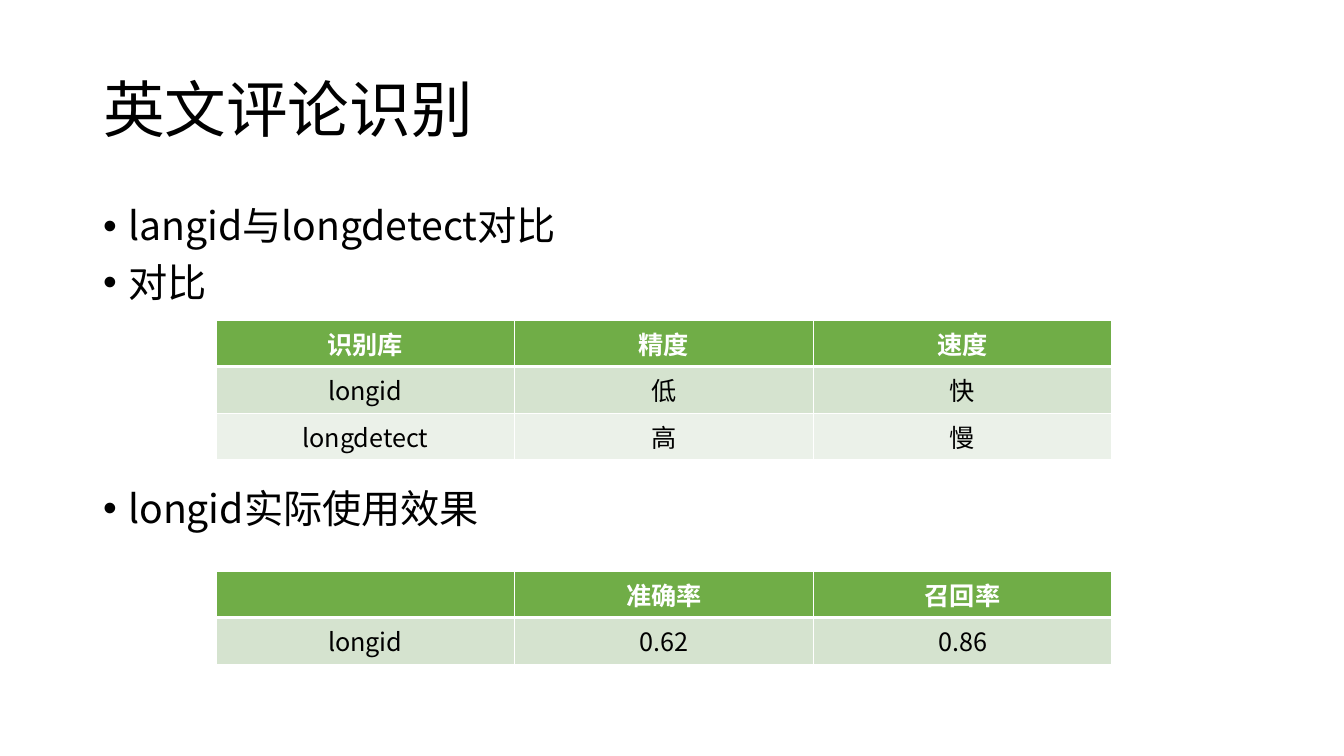
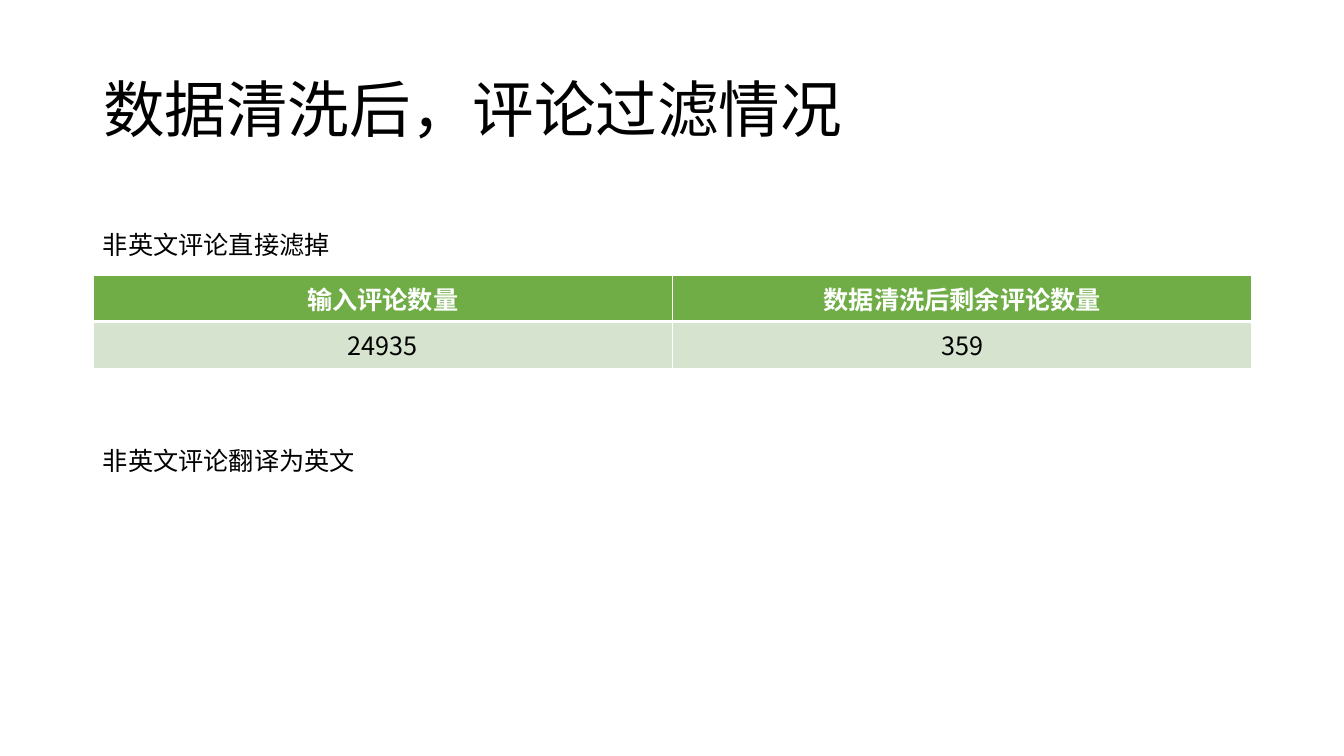
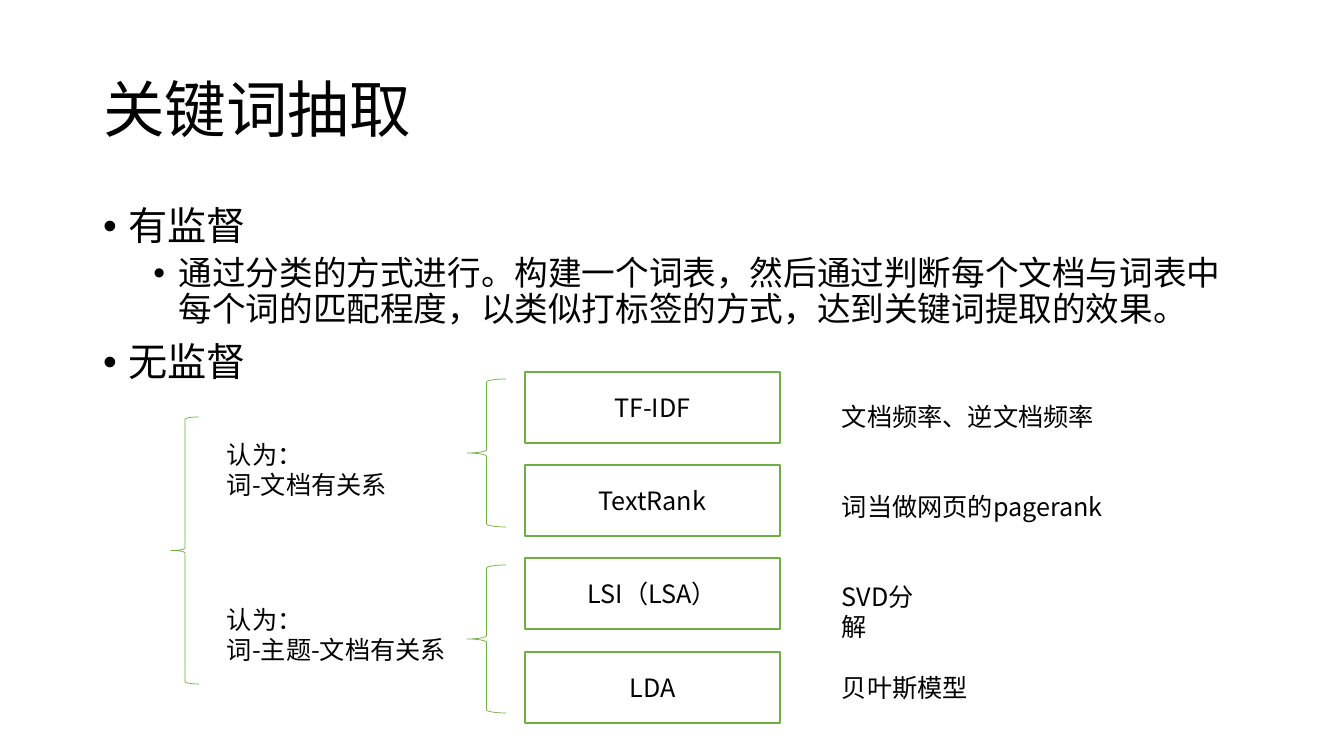
from dataclasses import dataclass

from lxml import etree
from pptx import Presentation
from pptx.dml.color import RGBColor
from pptx.enum.shapes import MSO_SHAPE
from pptx.enum.text import MSO_ANCHOR, MSO_AUTO_SIZE, PP_ALIGN
from pptx.oxml.ns import qn
from pptx.util import Pt

LEFT, CENTER = PP_ALIGN.LEFT, PP_ALIGN.CENTER
TOP, MIDDLE = MSO_ANCHOR.TOP, MSO_ANCHOR.MIDDLE
NO_AUTOFIT = MSO_AUTO_SIZE.NONE
RECTANGLE, LEFT_BRACE = MSO_SHAPE.RECTANGLE, MSO_SHAPE.LEFT_BRACE
TITLE_AND_CONTENT, TITLE_ONLY = 1, 5

SLIDE_W, SLIDE_H = 1344, 756
EMU_PER_PX = 12192000 / SLIDE_W


@dataclass(frozen=True)
class Theme:
    font: str = "Noto Sans CJK SC"
    text: str = "000000"
    white: str = "FFFFFF"
    green: str = "70AD47"
    bands: tuple = ("D5E3CF", "EBF1E9")
    title_size: int = 44
    body_sizes: tuple = (28, 24)
    small_size: int = 18
    body_gaps: tuple = (10, 5)
    line_spacing: float = 0.9


THEME = Theme()
TITLE_BOX = (93, 40, 1159, 146)
BODY_BOX = (93, 202, 1159, 529)


def px(length):
    return round(length * EMU_PER_PX)


def rgb(color):
    return RGBColor.from_string(color)


# Shared text and shape formatting
def format_runs(paragraph, size, color=THEME.text, bold=False):
    for run in paragraph.runs:
        run.font.name = THEME.font
        run.font.size = Pt(size)
        run.font.bold = bold
        run.font.color.rgb = rgb(color)
        east_asian = etree.SubElement(run.font._element, qn("a:ea"))
        east_asian.set("typeface", THEME.font)


def place(shape, box):
    shape.left, shape.top, shape.width, shape.height = map(px, box)


def add_title(slide, text):
    title = slide.shapes.title
    place(title, TITLE_BOX)
    frame = title.text_frame
    frame.text = text
    frame.auto_size = NO_AUTOFIT
    frame.vertical_anchor = MIDDLE
    heading = frame.paragraphs[0]
    heading.alignment = LEFT
    heading.line_spacing = THEME.line_spacing
    format_runs(heading, THEME.title_size)


def add_bullets(slide, box, items):
    """Each item is (level, text, space before in points or None)."""
    body = slide.placeholders[1]
    place(body, box)
    frame = body.text_frame
    frame.text = "\n".join(text for _, text, _ in items)
    frame.auto_size = NO_AUTOFIT
    frame.vertical_anchor = TOP
    for paragraph, (level, _, gap) in zip(frame.paragraphs, items):
        paragraph.level = level
        paragraph.line_spacing = THEME.line_spacing
        paragraph.space_before = Pt(gap or THEME.body_gaps[level])
        format_runs(paragraph, THEME.body_sizes[level])
        properties = paragraph._p.get_or_add_pPr()
        properties.set("marL", str(Pt(18 + 36 * level)))
        properties.set("indent", str(-Pt(18)))
        etree.SubElement(properties, qn("a:buChar")).set("char", "•")


def add_note(slide, box, text):
    note = slide.shapes.add_textbox(*map(px, box))
    note.text_frame.word_wrap = True
    note.text_frame.text = text
    for paragraph in note.text_frame.paragraphs:
        format_runs(paragraph, THEME.small_size)


def add_outline(slide, kind, box, line_width):
    outline = slide.shapes.add_shape(kind, *map(px, box))
    outline.shadow.inherit = False
    outline.line.color.rgb = rgb(THEME.green)
    outline.line.width = Pt(line_width)
    return outline


def add_brace(slide, box):
    add_outline(slide, LEFT_BRACE, box, 0.5).fill.background()


def add_method(slide, box, name):
    method = add_outline(slide, RECTANGLE, box, 1)
    method.fill.solid()
    method.fill.fore_color.rgb = rgb(THEME.white)
    method.text_frame.text = name
    method.text_frame.vertical_anchor = MIDDLE
    label = method.text_frame.paragraphs[0]
    label.alignment = CENTER
    format_runs(label, THEME.small_size)


# Tables
def set_borders(cell, **widths):
    properties = cell._tc.get_or_add_tcPr()
    for index, side in enumerate(("L", "R", "T", "B")):
        line = etree.Element(qn("a:ln" + side), w=str(Pt(widths.get(side, 1))))
        fill = etree.SubElement(line, qn("a:solidFill"))
        etree.SubElement(fill, qn("a:srgbClr")).set("val", THEME.white)
        properties.insert(index, line)


def add_data_table(slide, left, top, width, rows, anchor=TOP):
    row_height = 41
    box = (left, top, width, row_height * len(rows))
    table = slide.shapes.add_table(len(rows), len(rows[0]), *map(px, box)).table
    for column in table.columns:
        column.width = px(width / len(rows[0]))
    for r, values in enumerate(rows):
        header = r == 0
        table.rows[r].height = px(row_height)
        for c, value in enumerate(values):
            cell = table.cell(r, c)
            cell.text = value
            cell.vertical_anchor = anchor
            cell.fill.solid()
            band = THEME.green if header else THEME.bands[(r - 1) % 2]
            cell.fill.fore_color.rgb = rgb(band)
            set_borders(cell, T=3 if r == 1 else 1, B=3 if header else 1)
            paragraph = cell.text_frame.paragraphs[0]
            paragraph.alignment = CENTER
            color = THEME.white if header else THEME.text
            format_runs(paragraph, THEME.small_size, color, bold=header)


# Keyword extraction diagram
def add_method_tree(slide, left, top):
    add_brace(slide, (left, top + 45, 28, 267))
    beliefs = (
        (62, 185, "认为：\n词-文档有关系"),
        (227, 249, "认为：\n词-主题-文档有关系"),
    )
    for y, width, belief in beliefs:
        add_note(slide, (left + 46, top + y, width, 72), belief)

    methods = (
        ("TF-IDF", 275, "文档频率、逆文档频率"),
        ("TextRank", 282, "词当做网页的pagerank"),
        ("LSI（LSA）", 117, "SVD分解"),
        ("LDA", 148, "贝叶斯模型"),
    )
    for i, (name, width, remark) in enumerate(methods):
        method_top = top + 280 * i // 3
        if i % 2 == 0:
            add_brace(slide, (left + 296, method_top + 7, 39, 148))
        add_method(slide, (left + 354, method_top, 255, 71), name)
        add_note(slide, (left + 661, top + 24 + 271 * i // 3, width, 40), remark)


# Slides
def new_slide(deck, layout, title):
    slide = deck.slides.add_slide(deck.slide_layouts[layout])
    add_title(slide, title)
    return slide


def build_language_slide(deck):
    slide = new_slide(deck, TITLE_AND_CONTENT, "英文评论识别")
    add_bullets(slide, BODY_BOX, (
        (0, "langid与longdetect对比", None),
        (0, "对比", None),
        (0, "longid实际使用效果", 131),
    ))
    add_data_table(slide, 216, 320, 896, (
        ("识别库", "精度", "速度"),
        ("longid", "低", "快"),
        ("longdetect", "高", "慢"),
    ))
    add_data_table(slide, 216, 571, 896, (
        ("", "准确率", "召回率"),
        ("longid", "0.62", "0.86"),
    ))


def build_filter_slide(deck):
    slide = new_slide(deck, TITLE_ONLY, "数据清洗后，评论过滤情况")
    add_data_table(slide, 93, 275, 1159, (
        ("输入评论数量", "数据清洗后剩余评论数量"),
        ("24935", "359"),
    ), MIDDLE)
    add_note(slide, (93, 224, 250, 40), "非英文评论直接滤掉")
    add_note(slide, (93, 440, 276, 40), "非英文评论翻译为英文")


def build_keyword_slide(deck):
    slide = new_slide(deck, TITLE_AND_CONTENT, "关键词抽取")
    add_bullets(slide, (*BODY_BOX[:3], 480), (
        (0, "有监督", None),
        (1, "通过分类的方式进行。构建一个词表，然后通过判断每个文档与词表中"
            "每个词的匹配程度，以类似打标签的方式，达到关键词提取的效果。", None),
        (0, "无监督", None),
    ))
    add_method_tree(slide, 171, 372)


def main():
    deck = Presentation()
    deck.slide_width, deck.slide_height = px(SLIDE_W), px(SLIDE_H)
    build_language_slide(deck)
    build_filter_slide(deck)
    build_keyword_slide(deck)
    deck.save("out.pptx")


if __name__ == "__main__":
    main()
